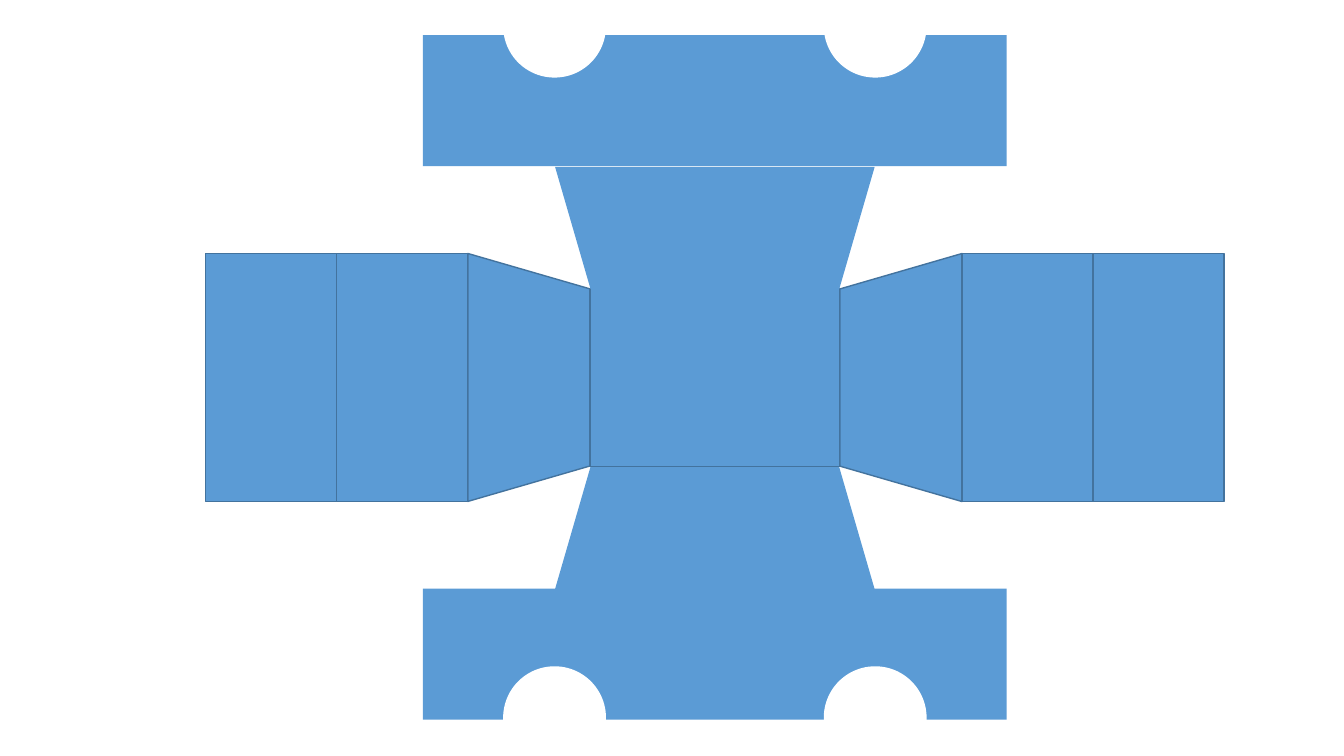
from pptx import Presentation
from pptx.dml.color import RGBColor
from pptx.enum.shapes import MSO_SHAPE
from pptx.util import Inches, Pt

RECTANGLE = MSO_SHAPE.RECTANGLE
TRAPEZOID = MSO_SHAPE.TRAPEZOID
OVAL = MSO_SHAPE.OVAL

SLIDE_WIDTH, SLIDE_HEIGHT = Inches(13.33), Inches(7.5)
CELL = Inches(0.1)
CARD, FOLD, CUTOUT = "5B9BD5", "43739E", "FFFFFF"

MIDDLE_COLUMN, MIDDLE_ROW, FLAP_ROW = 70.9, 37.45, 37.5
BASE_WIDTH, BASE_HEIGHT = 24.8, 17.7
FLARE, SLANT = 12.1, 0.29
END_WIDTH, FLAP_WIDTH = 24.6, 31.7
PANEL_DEPTH, SIDE_LENGTH = 13, 57.9
WHEEL, WHEEL_OFFSET = 10.2, 15.9
WHEEL_ROWS = (2.6, 71.2)


def colour(hex_code):
    """Turn a hex string into a colour."""
    return RGBColor.from_string(hex_code)


def add_piece(slide, preset, column, row, width, height, fill=CARD, fold=None):
    """Draw one piece centred on a grid point, with an optional fold line."""
    piece = slide.shapes.add_shape(
        preset, round((column - width / 2) * CELL), round((row - height / 2) * CELL),
        round(width * CELL), round(height * CELL))
    piece.shadow.inherit = False
    piece.fill.solid()
    piece.fill.fore_color.rgb = colour(fill)
    if fold:
        piece.line.color.rgb = colour(fold)
        piece.line.width = Pt(1)
    else:
        piece.line.fill.background()
    return piece


def add_flare(slide, column, row, width, rotation, fold=None):
    """Draw a slanted flap whose narrow edge meets the base."""
    flare = add_piece(slide, TRAPEZOID, column, row, width, FLARE, fold=fold)
    flare.adjustments[0] = SLANT
    flare.rotation = rotation


def add_ends(slide):
    """Draw the flare and two panels at each end of the base."""
    for side, rotation in ((-1, 90), (1, 270)):
        flare_column = MIDDLE_COLUMN + side * (BASE_WIDTH + FLARE) / 2
        add_flare(slide, flare_column, MIDDLE_ROW, END_WIDTH, rotation, FOLD)
        for position in (0.5, 1.5):
            reach = BASE_WIDTH / 2 + FLARE + position * PANEL_DEPTH
            add_piece(slide, RECTANGLE, MIDDLE_COLUMN + side * reach, MIDDLE_ROW,
                      PANEL_DEPTH, END_WIDTH, fold=FOLD)


def add_sides(slide):
    """Draw the flare, long side and wheel arches above and below the base."""
    for side, rotation, wheel_row in zip((-1, 1), (180, 0), WHEEL_ROWS):
        flare_row = FLAP_ROW + side * (BASE_HEIGHT + FLARE) / 2
        side_row = MIDDLE_ROW + side * (BASE_HEIGHT / 2 + FLARE + PANEL_DEPTH / 2)
        add_flare(slide, MIDDLE_COLUMN, flare_row, FLAP_WIDTH, rotation)
        add_piece(slide, RECTANGLE, MIDDLE_COLUMN, side_row, SIDE_LENGTH, PANEL_DEPTH)
        for offset in (-WHEEL_OFFSET, WHEEL_OFFSET):
            add_piece(slide, OVAL, MIDDLE_COLUMN + offset, wheel_row,
                      WHEEL, WHEEL, fill=CUTOUT)


def main():
    """Build the folding template of a car body."""
    deck = Presentation()
    deck.slide_width, deck.slide_height = SLIDE_WIDTH, SLIDE_HEIGHT
    slide = deck.slides.add_slide(deck.slide_layouts[6])
    add_piece(slide, RECTANGLE, MIDDLE_COLUMN, MIDDLE_ROW,
              BASE_WIDTH, BASE_HEIGHT, fold=FOLD)
    add_ends(slide)
    add_sides(slide)
    deck.save("out.pptx")


main()
